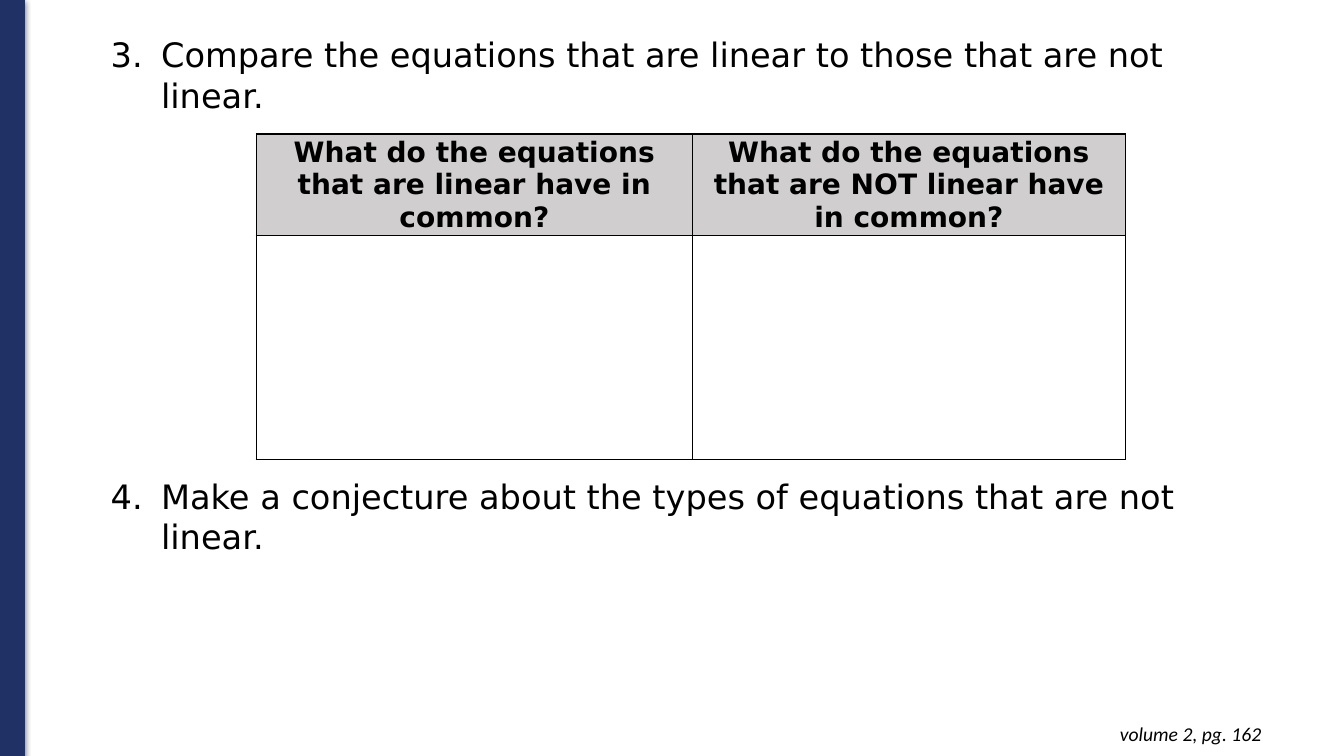
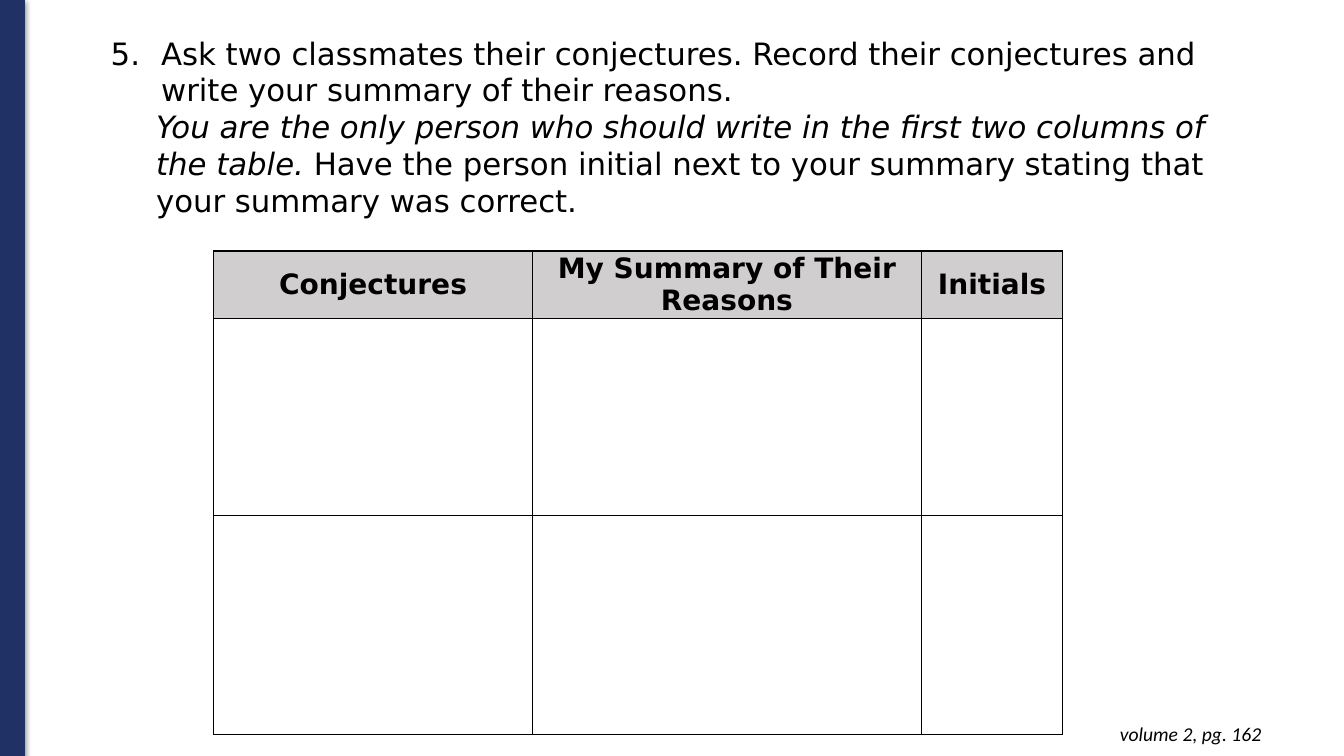
"""Builds two worksheet slides on linear and nonlinear equations."""
from lxml import etree
from pptx import Presentation, util as u
from pptx.dml.color import RGBColor
from pptx.enum import shapes, text
from pptx.oxml import parse_xml
from pptx.oxml.ns import qn

SCALE = 9144
THEME = {
    "navy": "1F3165", "ink": "000000", "head": "D0CECE",
    "body": "DejaVu Sans", "foot": "Calibri",
    "ask": 24, "long": 22, "label": 20, "note": 14,
}
SIZE = (1333, 750)
BAND = (0, 0, 24, 751)
FOOT = ("volume 2, pg. 162", (973, 706, 288, 44))
NS = 'xmlns:a="http://schemas.openxmlformats.org/drawingml/2006/main"'
SHADOW = (f'<a:effectLst {NS}><a:outerShdw blurRad="57150" dist="19050" dir="5400000">'
          '<a:srgbClr val="{}"><a:alpha val="50000"/></a:srgbClr>'
          '</a:outerShdw></a:effectLst>')
EDGE = (f'<a:{{}} {NS} w="12700"><a:solidFill><a:srgbClr val="{{}}"/>'
        '</a:solidFill></a:{}>')

SLIDES = [
    {
        "asks": [
            {"box": (100, 29, 1150, 91), "size": "ask", "paras": [
                {"num": 3, "runs": [("Compare the equations that are linear to those "
                                     "that are not linear.", False)]}]},
            {"box": (100, 467, 1150, 91), "size": "ask", "paras": [
                {"num": 4, "runs": [("Make a conjecture about the types of equations "
                                     "that are not linear.", False)]}]},
        ],
        "table": {
            "at": (254, 133), "cols": (433, 429), "rows": (101, 222), "pad": 7,
            "heads": ("What do the equations that are linear have in common?",
                      "What do the equations that are NOT linear have in common?"),
        },
    },
    {
        "asks": [
            {"box": (100, 29, 1150, 195), "size": "long", "paras": [
                {"num": 5, "runs": [("Ask two classmates their conjectures. Record their "
                                     "conjectures and write your summary of their "
                                     "reasons.", False)]},
                {"left": 45, "runs": [
                    ("You are the only person who should write in the first two "
                     "columns of the table.", True),
                    (" Have the person initial next to your summary stating that "
                     "your summary was correct.", False)]}]},
        ],
        "table": {
            "at": (212, 249), "cols": (316, 386, 140), "rows": (66, 196, 217), "pad": 5,
            "heads": ("Conjectures", "My Summary of Their Reasons", "Initials"),
        },
    },
]


def px(n):
    return u.Emu(n * SCALE)


def tint(name):
    return RGBColor.from_string(THEME[name])


def style(obj, **vals):
    for key, val in vals.items():
        setattr(obj, key, val)


def write(para, words, size, face="body", **vals):
    run = para.add_run()
    run.text = words
    style(run.font, name=THEME[face], size=u.Pt(THEME[size]), **vals)
    run.font.color.rgb = tint("ink")


def add_box(slide, box):
    frame = slide.shapes.add_textbox(*map(px, box)).text_frame
    style(frame, word_wrap=True, auto_size=text.MSO_AUTO_SIZE.SHAPE_TO_FIT_TEXT)
    return frame


def add_frame(slide):
    band = slide.shapes.add_shape(shapes.MSO_SHAPE.RECTANGLE, *map(px, BAND))
    band.fill.solid()
    band.fill.fore_color.rgb = band.line.color.rgb = tint("navy")
    band.line.width = u.Pt(0.75)
    band._element.spPr.append(parse_xml(SHADOW.format(THEME["ink"])))
    words, box = FOOT
    frame = add_box(slide, box)
    style(frame, margin_top=px(10), margin_bottom=px(10))
    para = frame.paragraphs[0]
    para.alignment = text.PP_ALIGN.RIGHT
    write(para, words, "note", "foot", italic=True)


def add_ask(slide, ask):
    frame = add_box(slide, ask["box"])
    for i, item in enumerate(ask["paras"]):
        para = frame.add_paragraph() if i else frame.paragraphs[0]
        props = para._p.get_or_add_pPr()
        num = item.get("num")
        props.set("marL", str(px(item.get("left", 50))))
        props.set("indent", str(px(-50 if num else 0)))
        if num:
            etree.SubElement(props, qn("a:buAutoNum"),
                             type="arabicPeriod", startAt=str(num))
        for words, slant in item["runs"]:
            write(para, words, ask["size"], italic=slant)


def add_grid(slide, data):
    cols, rows = data["cols"], data["rows"]
    box = (*data["at"], sum(cols), sum(rows))
    grid = slide.shapes.add_table(len(rows), len(cols), *map(px, box)).table
    style(grid, first_row=False, horz_banding=False)
    for col, wide in zip(grid.columns, cols):
        col.width = px(wide)
    for row, high in zip(grid.rows, rows):
        row.height = px(high)
    for cell in grid.iter_cells():
        props = cell._tc.get_or_add_tcPr()
        for side in ("lnL", "lnR", "lnT", "lnB"):
            props.append(parse_xml(EDGE.format(side, THEME["ink"], side)))
        cell.fill.background()
    for i, words in enumerate(data["heads"]):
        cell = grid.cell(0, i)
        cell.fill.solid()
        cell.fill.fore_color.rgb = tint("head")
        style(cell, vertical_anchor=text.MSO_ANCHOR.MIDDLE,
              margin_left=px(data["pad"]), margin_right=px(data["pad"]),
              margin_top=0, margin_bottom=0)
        para = cell.text_frame.paragraphs[0]
        para.alignment = text.PP_ALIGN.CENTER
        write(para, words, "label", bold=True)


def main():
    deck = Presentation()
    deck.slide_width, deck.slide_height = map(px, SIZE)
    for data in SLIDES:
        slide = deck.slides.add_slide(deck.slide_layouts[6])
        add_frame(slide)
        for ask in data["asks"]:
            add_ask(slide, ask)
        add_grid(slide, data["table"])
    deck.save("out.pptx")


if __name__ == "__main__":
    main()
